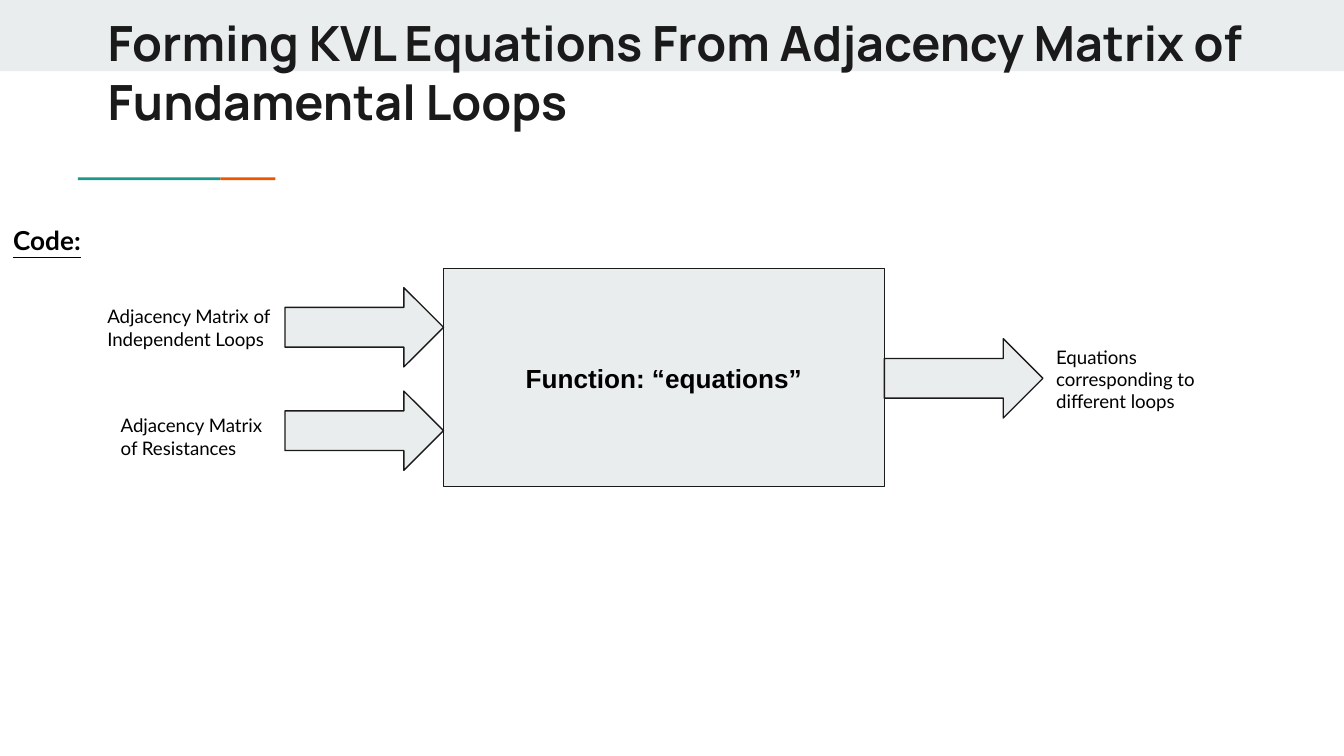
from pptx import Presentation
from pptx.dml.color import RGBColor
from pptx.enum.shapes import MSO_SHAPE as Shape
from pptx.enum.text import MSO_ANCHOR as Anchor, MSO_AUTO_SIZE as Fit, PP_ALIGN as Align
from pptx.util import Inches, Pt

WIDE = 10
HIGH = WIDE * 9 / 16
PALE, INK, BLACK = "E9EDEE", "1A1A1A", "000000"
TEAL, ORANGE = "1A9988", "EB5600"

TITLE = "Forming KVL Equations From Adjacency Matrix of Fundamental Loops"
HEAD = "Code:"
FUNC = "Function: “equations”"
BOX = (3.3, 2, 3.28, 1.62)
ARROW = (1.18, 0.59)
# label, label box, arrow top
INPUTS = [
    ("Adjacency Matrix of Independent Loops", (0.7, 2.17, 1.42, 0.52), 2.14),
    ("Adjacency Matrix of Resistances", (0.8, 2.98, 1.33, 0.52), 2.91),
]
OUTPUTS = [
    ("Equations corresponding to different loops", (7.76, 2.47, 1.42, 0.52), 2.52),
]
# left, width, colour
RULES = [(0.58, 1.06, TEAL), (1.64, 0.41, ORANGE)]


def color(code):
    return RGBColor.from_string(code)


def place(item, at):
    item.left, item.top, item.width, item.height = map(Inches, at)


def draw(kind, at, fill, line=None):
    item = slide.shapes.add_shape(kind, *map(Inches, at))
    item.shadow.inherit = False
    item.fill.solid()
    item.fill.fore_color.rgb = color(fill)
    if line:
        item.line.color.rgb = color(line)
        item.line.width = Pt(0.75)
    else:
        item.line.fill.background()
    return item


def write(item, text, size, face="Lato", ink=BLACK, bold=False, under=False,
          align=Align.LEFT, anchor=Anchor.TOP):
    frame = item.text_frame
    frame.word_wrap = True
    frame.auto_size = Fit.NONE
    frame.vertical_anchor = anchor
    frame.margin_left = frame.margin_right = Inches(0.1)
    frame.margin_top = frame.margin_bottom = Inches(0.1)
    para = frame.paragraphs[0]
    para.alignment = align
    para.line_spacing = 1.0
    run = para.add_run()
    run.text = text
    font = run.font
    font.name, font.size, font.bold, font.underline = face, Pt(size), bold, under
    font.color.rgb = color(ink)


def label(text, at, size, **look):
    write(slide.shapes.add_textbox(*map(Inches, at)), text, size, **look)


deck = Presentation()
deck.slide_width, deck.slide_height = Inches(WIDE), Inches(HIGH)
slide = deck.slides.add_slide(deck.slide_layouts[5])

band = draw(Shape.RECTANGLE, (0, 0, WIDE, 0.53), PALE)
title = slide.shapes.title
title._element.addprevious(band._element)  # keeps the band behind the title
place(title, (0.7, 0, 8.89, 1.05))
write(title, TITLE, 26, face="Manrope", ink=INK, bold=True)

for left, width, tint in RULES:
    draw(Shape.RECTANGLE, (left, 1.32, width, 0.02), tint)

label(HEAD, (0, 1.57, 7.07, 0.83), 14, bold=True, under=True)
box = draw(Shape.FLOWCHART_PROCESS, BOX, PALE, INK)
write(box, FUNC, 14, face="Arial", bold=True, align=Align.CENTER, anchor=Anchor.MIDDLE)

# Inputs end at the box's left edge, outputs start at its right edge.
for flows, left in [(INPUTS, BOX[0] - ARROW[0]), (OUTPUTS, BOX[0] + BOX[2])]:
    for text, at, top in flows:
        draw(Shape.RIGHT_ARROW, (left, top, *ARROW), PALE, INK)
        label(text, at, 10)

deck.save("out.pptx")
